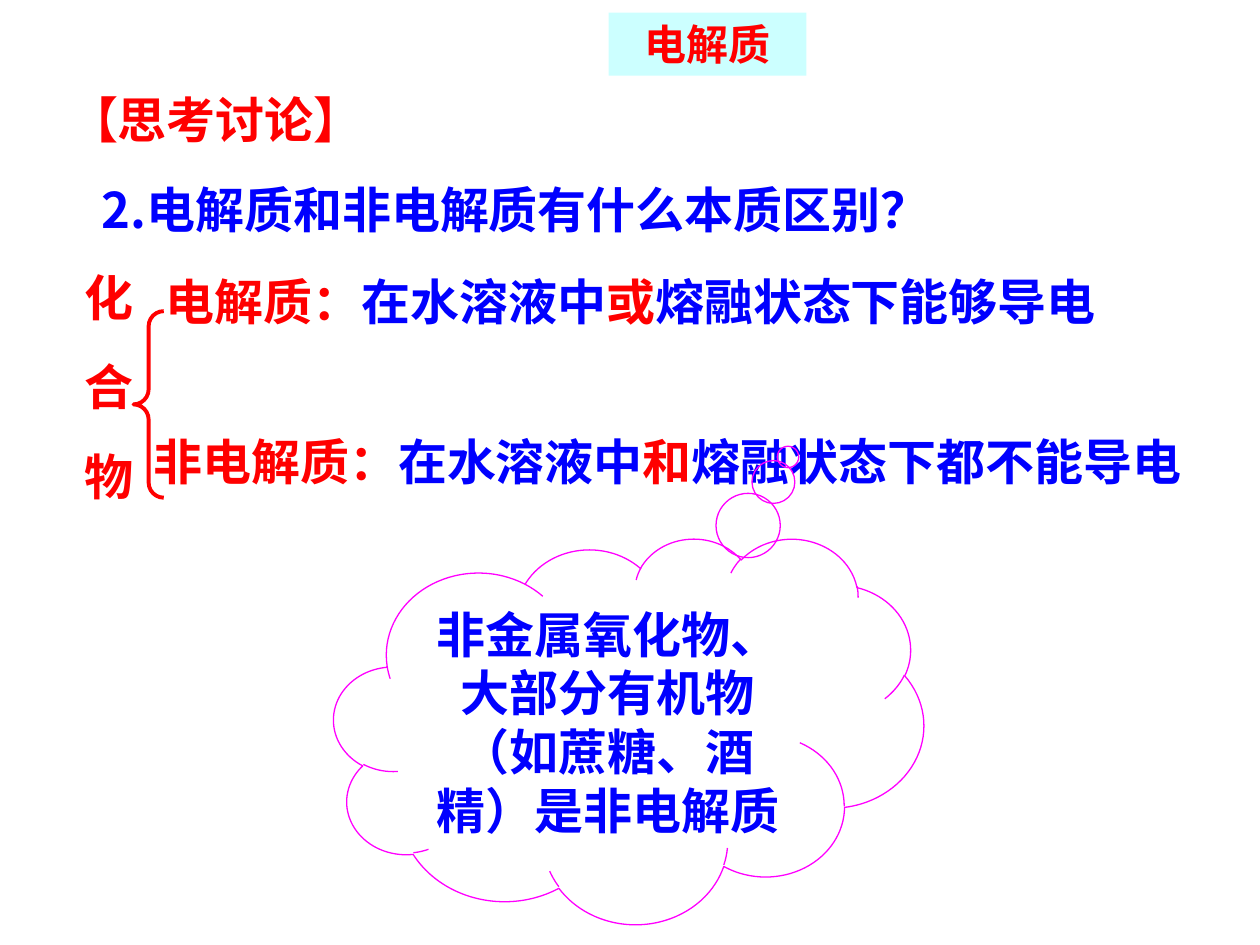
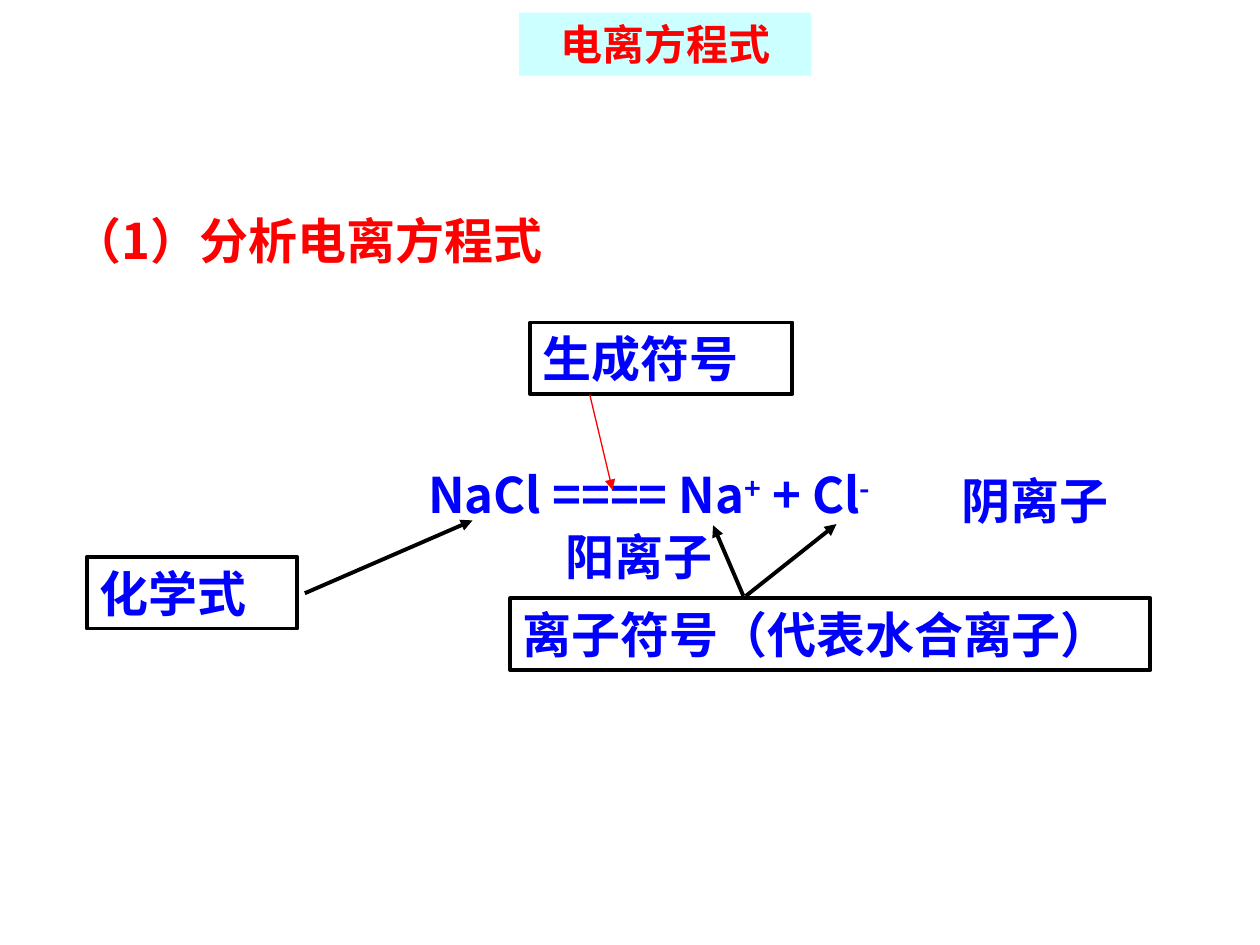
from lxml import etree
from pptx import Presentation
from pptx.dml.color import RGBColor
from pptx.enum import shapes, text
from pptx.oxml import ns
from pptx.util import Pt

COLOURS = {"red": "FF0000", "blue": "0000FF", "black": "000000",
           "magenta": "FF00FF", "band": "CCFFFF"}
SANS, SERIF, ARIAL = "Noto Sans CJK SC", "Times New Roman", "Arial"
BODY_SIZE, TITLE_SIZE = 28, 24
LINE_PITCH = Pt(33.6)
BOX_HEIGHT = 41

TITLES = {
    "electrolyte": ("电解质", (347.8, 7.2, 113, 36)),
    "equation": ("电离方程式", (296.6, 7.2, 167, 36)),
}

NON_ELECTROLYTE = [
    ("非电解质：", "red", SERIF), ("在水溶液中", "blue", SANS),
    ("和", "red", SERIF), ("熔融状态下都不能导电", "blue", SANS),
]
ELECTROLYTE = [
    ("电解质：", "red", SERIF), ("在水溶液中", "blue", SANS),
    ("或", "red", SERIF), ("熔融状态下能够导电", "blue", SANS),
]
DISCUSSION = [
    (NON_ELECTROLYTE, (80.6, 232.6, 618.5, 51), {"line_spacing": 1.3}),
    (["化", "合", "物"], (41, 149, 26, 143.3),
     {"colour": "red", "font": SERIF, "line_spacing": LINE_PITCH, "space_before": 17.5}),
    (ELECTROLYTE, (87.8, 151.2, 573.8, BOX_HEIGHT), {}),
    ("2.电解质和非电解质有什么本质区别？", (51, 82, 548.6, 57.6), {"line_spacing": 1.5}),
    ("【思考讨论】", (32.4, 47.5, 182.2, BOX_HEIGHT), {"colour": "red", "wrap": False}),
]
BRACE = (76.3, 177.8, 17.3, 106.6)
CLOUD = ("非金属氧化物、大部分有机物（如蔗糖、酒精）是非电解质", (190.8, 307.4, 337, 220.3))

EQUATION = [
    ("NaCl ==== Na", "blue", SANS), ("+", "blue", SANS, 30),
    (" + Cl", "blue", SANS), ("-", "blue", SANS, 30),
]
EQUATION_LABELS = [
    ("（1）分析电离方程式", (34.6, 116.6, 375.8), "red"),
    (EQUATION, (237.6, 262, 354.2), "blue"),
    ("阳离子", (316, 297.4, 108), "blue"),
    ("阴离子", (542.2, 265, 131.8), "blue"),
]
FRAMED_LABELS = [
    ("化学式", (49.7, 318.2, 120.2)),
    ("生成符号", (303, 184.3, 149.8)),
    ("离子符号（代表水合离子）", (291.6, 342, 365.8)),
]
ARROWS = [
    ((174.2, 339), (270, 297.4), "black", 2.25),
    ((424.8, 340.6), (407.5, 300.2), "black", 2.25),
    ((426.2, 340.6), (478, 299.5), "black", 2.25),
    ((337, 225.4), (350, 280), "red", 0.75),
]


def points(values):
    return [Pt(value) for value in values]


def colour_of(name):
    return RGBColor.from_string(COLOURS[name])


def write_text(shape, content, colour="blue", font=SANS, size=BODY_SIZE,
               align=text.PP_ALIGN.LEFT, line_spacing=None, space_before=0, wrap=True):
    frame = shape.text_frame
    frame.word_wrap = wrap
    frame.auto_size = text.MSO_AUTO_SIZE.NONE
    frame.vertical_anchor = text.MSO_ANCHOR.MIDDLE
    if isinstance(content, str):
        content = [content]
    if isinstance(content[0], tuple):
        lines = [content]
    else:
        lines = [[(line, colour, font)] for line in content]
    for index, runs in enumerate(lines):
        paragraph = frame.add_paragraph() if index else frame.paragraphs[0]
        paragraph.alignment = align
        paragraph.line_spacing = line_spacing
        paragraph.space_before = Pt(space_before if index else 0)
        for words, run_colour, run_font, *baseline in runs:
            run = paragraph.add_run()
            run.text = words
            run.font.size = Pt(size)
            run.font.bold = True
            run.font.color.rgb = colour_of(run_colour)
            run.font.name = run_font
            properties = run._r.get_or_add_rPr()
            etree.SubElement(properties, ns.qn("a:ea"), typeface=SANS)
            if baseline:
                properties.set("baseline", str(baseline[0] * 1000))


def add_text(slide, content, box, **style):
    shape = slide.shapes.add_textbox(*points(box))
    write_text(shape, content, **style)
    return shape


def add_outline(slide, kind, box, colour, width):
    shape = slide.shapes.add_shape(kind, *points(box))
    shape.shadow.inherit = False
    shape.fill.background()
    shape.line.color.rgb = colour_of(colour)
    shape.line.width = Pt(width)
    return shape


def add_arrow(slide, start, end, colour, width):
    arrow = slide.shapes.add_connector(shapes.MSO_CONNECTOR.STRAIGHT, *points(start + end))
    arrow.line.color.rgb = colour_of(colour)
    arrow.line.width = Pt(width)
    etree.SubElement(arrow.line._get_or_add_ln(), ns.qn("a:tailEnd"), type="triangle")
    etree.SubElement(arrow._element.spPr, ns.qn("a:effectLst"))


def add_slide(presentation, title_key):
    slide = presentation.slides.add_slide(presentation.slide_layouts[5])
    words, box = TITLES[title_key]
    title = slide.shapes.title
    title.left, title.top, title.width, title.height = points(box)
    title.fill.solid()
    title.fill.fore_color.rgb = colour_of("band")
    write_text(title, words, colour="red", size=TITLE_SIZE, align=text.PP_ALIGN.CENTER)
    return slide


def build_discussion(presentation):
    slide = add_slide(presentation, "electrolyte")
    for content, box, style in DISCUSSION:
        add_text(slide, content, box, **style)
    brace = add_outline(slide, shapes.MSO_SHAPE.LEFT_BRACE, BRACE, "red", 2.25)
    brace.adjustments[0] = 0.5
    words, box = CLOUD
    cloud = add_outline(slide, shapes.MSO_SHAPE.CLOUD_CALLOUT, box, "magenta", 0.75)
    cloud.adjustments[0], cloud.adjustments[1] = 0.27, -0.71
    write_text(cloud, words, font=ARIAL, align=text.PP_ALIGN.CENTER, line_spacing=LINE_PITCH)


def build_equation(presentation):
    slide = add_slide(presentation, "equation")
    for content, place, colour in EQUATION_LABELS:
        add_text(slide, content, (*place, BOX_HEIGHT), colour=colour)
    for words, place in FRAMED_LABELS:
        frame = add_outline(slide, shapes.MSO_SHAPE.RECTANGLE, (*place, BOX_HEIGHT), "black", 2.25)
        write_text(frame, words)
    for arrow in ARROWS:
        add_arrow(slide, *arrow)


def main():
    presentation = Presentation()
    presentation.slide_width, presentation.slide_height = Pt(720), Pt(540)
    build_discussion(presentation)
    build_equation(presentation)
    presentation.save("out.pptx")


if __name__ == "__main__":
    main()
